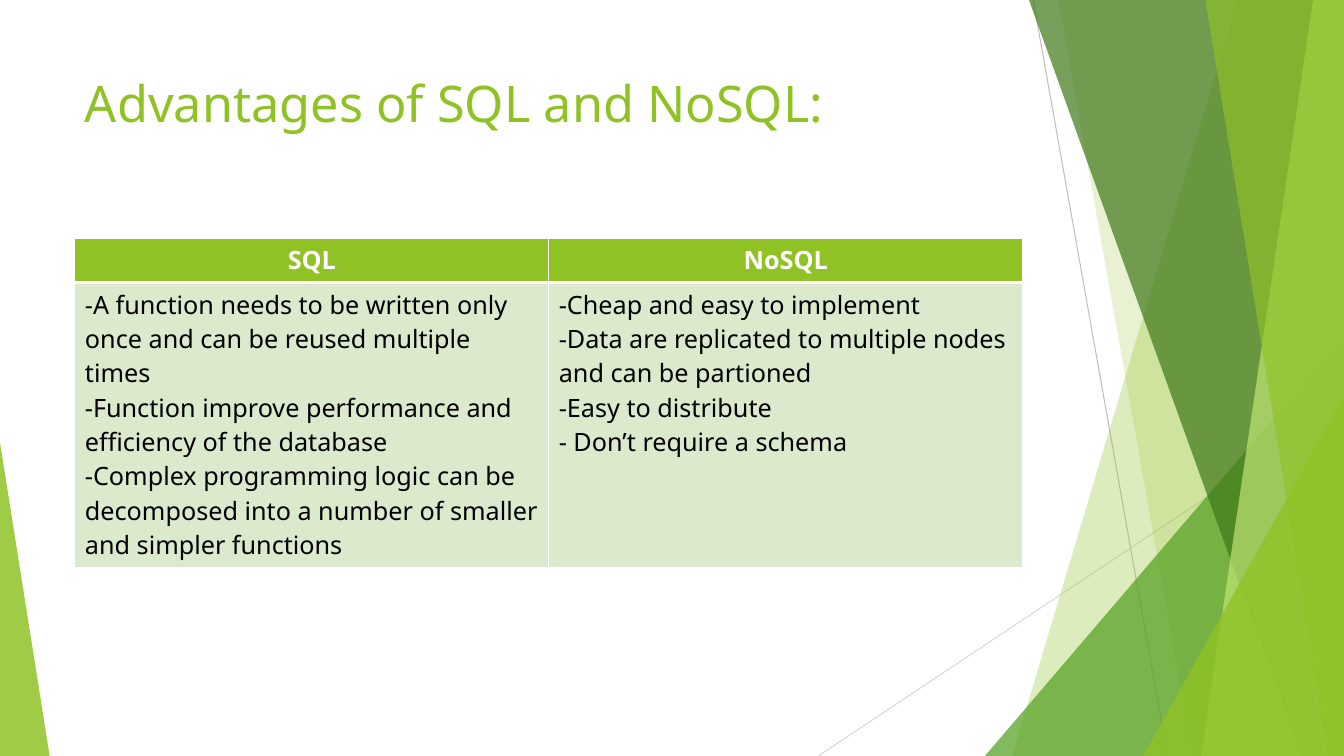
"""Build a slide with a table of the advantages of SQL and NoSQL."""
from lxml import etree
from pptx import Presentation
from pptx.dml.color import RGBColor
from pptx.enum import shapes, text
from pptx.oxml import parse_xml
from pptx.oxml.ns import nsdecls, qn
from pptx.util import Pt

WIDTH, HEIGHT = 960, 540
GREEN = "90C226"


def write(frame, lines, size=18, color="000000", bold=False, align=text.PP_ALIGN.LEFT):
    frame.text = "\n".join(lines)
    frame.word_wrap = True
    for paragraph in frame.paragraphs:
        paragraph.alignment = align
        font = paragraph.runs[0].font
        font.name, font.size, font.bold = "Noto Sans", Pt(size), bold
        font.color.rgb = RGBColor.from_string(color)


def paint(shape, color, opacity):
    shape.shadow.inherit = False
    shape.line.fill.background()
    shape.fill.solid()
    shape.fill.fore_color.rgb = RGBColor.from_string(color)
    tint = shape.fill._xPr.find(qn("a:solidFill"))[0]
    etree.SubElement(tint, qn("a:alpha"), val=str(opacity * 1000))


presentation = Presentation()
presentation.slide_width, presentation.slide_height = Pt(WIDTH), Pt(HEIGHT)
slide = presentation.slides.add_slide(presentation.slide_layouts[5])

for x1, y1, x2, y2, color in [
    (738, 0, 834, HEIGHT, "BFBFBF"),
    (WIDTH, 290, 584.5, HEIGHT, "D9D9D9"),
]:
    line = slide.shapes.add_connector(
        shapes.MSO_CONNECTOR.STRAIGHT, Pt(x1), Pt(y1), Pt(x2), Pt(y2))
    line.line.width = Pt(0.75)
    line.line.color.rgb = RGBColor.from_string(color)
    etree.SubElement(line._element.spPr, qn("a:effectLst"))

# Bands give top and bottom x; triangles give left, top, width and apex side.
facets = [
    ("band", (884, 723), GREEN, 30),
    ("band", (756, 852), GREEN, 20),
    ("triangle", (703.5, 240, 256.5, 1), "54A021", 72),
    ("band", (735, 929.5), "3F7819", 70),
    ("band", (938, 858), "C0E474", 70),
    ("band", (861, 949), GREEN, 65),
    ("triangle", (816.5, 283, 143.5, 1), GREEN, 80),
    ("triangle", (0, 316, 35.5, 0), GREEN, 85),
]
for kind, geometry, color, opacity in facets:
    if kind == "band":
        top_x, bottom_x = geometry
        builder = slide.shapes.build_freeform(Pt(top_x), Pt(0))
        corners = [(WIDTH, 0), (WIDTH, HEIGHT), (bottom_x, HEIGHT)]
        builder.add_line_segments([(Pt(x), Pt(y)) for x, y in corners])
        facet = builder.convert_to_shape()
    else:
        left, top, width, apex = geometry
        facet = slide.shapes.add_shape(
            shapes.MSO_SHAPE.ISOSCELES_TRIANGLE,
            Pt(left), Pt(top), Pt(width), Pt(HEIGHT - top))
        facet.adjustments[0] = apex
    paint(facet, color, opacity)

title = slide.shapes.title
title.left, title.top, title.width, title.height = Pt(53.5), Pt(48), Pt(677), Pt(104)
write(title.text_frame, ["Advantages of SQL and NoSQL:"], size=36, color=GREEN)
title.text_frame.vertical_anchor = text.MSO_ANCHOR.TOP
title.text_frame.auto_size = text.MSO_AUTO_SIZE.NONE

advantages = {
    "SQL": [
        "-A function needs to be written only once and can be reused multiple times",
        "-Function improve performance and efficiency of the database",
        "-Complex programming logic can be decomposed into a number of smaller "
        "and simpler functions",
    ],
    "NoSQL": [
        "-Cheap and easy to implement",
        "-Data are replicated to multiple nodes and can be partioned",
        "-Easy to distribute",
        "- Don’t require a schema",
    ],
}
table = slide.shapes.add_table(
    2, len(advantages), Pt(53.5), Pt(170), Pt(677), Pt(234)).table
table.rows[0].height, table.rows[1].height = Pt(30), Pt(204)
for column, (name, points) in enumerate(advantages.items()):
    header, body = table.cell(0, column), table.cell(1, column)
    write(header.text_frame, [name], color="FFFFFF", bold=True,
          align=text.PP_ALIGN.CENTER)
    write(body.text_frame, points)
    for cell, color, thick_side in [(header, GREEN, "B"), (body, "DBE9CD", "T")]:
        cell.fill.solid()
        cell.fill.fore_color.rgb = RGBColor.from_string(color)
        for index, side in enumerate("LRTB"):
            width = Pt(3 if side == thick_side else 1)
            cell._tc.tcPr.insert(index, parse_xml(
                f'<a:ln{side} {nsdecls("a")} w="{width}"><a:solidFill>'
                f'<a:srgbClr val="FFFFFF"/></a:solidFill></a:ln{side}>'))

presentation.save("out.pptx")
